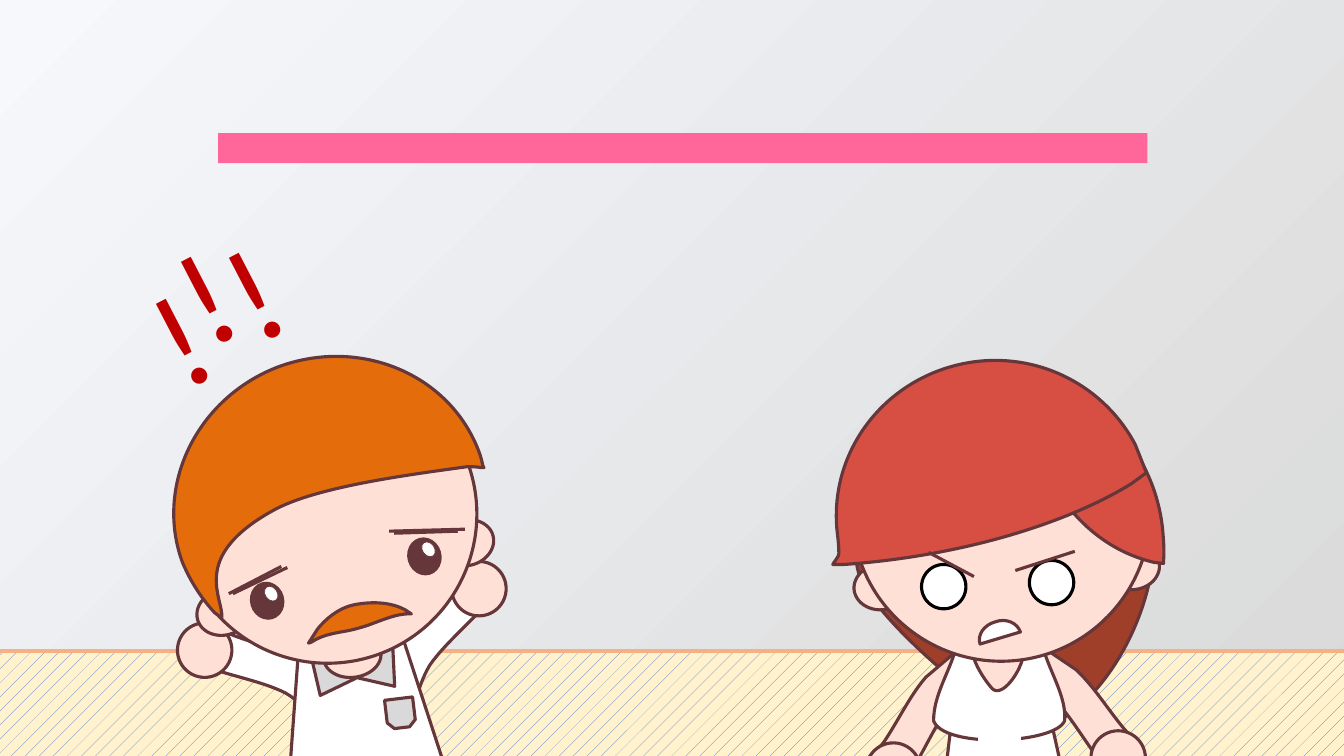
"""Build a slide with two cross cartoon figures under a pink bar."""
from lxml import etree
from pptx import Presentation
from pptx import util as u
from pptx.dml.color import RGBColor
from pptx.enum import dml, shapes, text
from pptx.oxml.ns import qn

PX = 9144
STEPS = 16
HUE = {
    "pale": "F6F8FC", "grey": "D9D9D9", "cream": "FFF2CC", "blue": "4472C4",
    "sand": "F4B183", "ink": "65363A", "skin": "FFE0D6", "white": "FFFFFF",
    "black": "000000", "brown": "A03F29", "red": "D74E43", "orange": "E46C0A",
    "alarm": "C00000", "pink": "FF6699",
}
KIND = shapes.MSO_SHAPE
NECK = ("969 630; 971 616 987 592 1002 595; 1017 598 1025 618 1021 639; "
        "1018 661 998 686 989 676; 980 666 966 644 969 630")
ARM = ("-13 -86; -13 -96 -4 -106 7 -106; 17 -106 26 -97 26 -86; 25 -58 12 -35 11 -7; "
       "12 22 25 57 27 86; 26 96 18 105 6 105; -4 105 -13 96 -13 86; -13 56 -25 22 -25 -8")


def px(*vals):
    """Turn px lengths into EMU."""
    return [u.Emu(round(v * PX)) for v in vals]


def hue(name):
    """Give the named colour."""
    return RGBColor.from_string(HUE[name])


def put(item, vals):
    """Set each format value on an item."""
    for key, val in vals.items():
        setattr(item, key, val)


def paint(shape, fill, line="ink", width=2.25):
    """Give a shape its fill and line, and no shadow."""
    shape.shadow.inherit = False
    shape.fill.solid()
    shape.fill.fore_color.rgb = hue(fill)
    if line:
        shape.line.color.rgb = hue(line)
        shape.line.width = u.Pt(width)
    else:
        shape.line.fill.background()


def block(slide, kind, box, fill, turn=0, line="ink", width=2.25, adj=()):
    """Add a preset shape."""
    shape = slide.shapes.add_shape(kind, *px(*box))
    paint(shape, fill, line, width)
    shape.rotation = turn
    for i, val in enumerate(adj):
        shape.adjustments[i] = val
    return shape


def oval(slide, box, fill="skin", turn=0, **look):
    """Add an ellipse."""
    return block(slide, KIND.OVAL, box, fill, turn, **look)


def bend(p):
    """List the points along a cubic curve."""
    for step in range(STEPS + 1):
        t = step / STEPS
        w = ((1 - t) ** 3, 3 * t * (1 - t) ** 2, 3 * t * t * (1 - t), t ** 3)
        yield [sum(k * q[axis] for k, q in zip(w, p)) for axis in (0, 1)]


def form(slide, fill, plan, dx=0, dy=0, fx=1, fy=1, turn=0):
    """Add a closed outline: pairs are corners, sixes are curves."""
    parts = []
    for chunk in plan.split(";"):
        nums = [int(n) for n in chunk.split()]
        parts.append([(x * fx + dx, y * fy + dy) for x, y in zip(nums[::2], nums[1::2])])
    dots = list(parts[0])
    for last, part in zip(parts, parts[1:]):
        dots += part if len(part) == 1 else bend(last[-1:] + part)
    left, top = (min(axis) for axis in zip(*dots))
    pen = slide.shapes.build_freeform(*px(left, top), scale=1.0)
    pen.add_line_segments([px(*(max(axis) for axis in zip(*dots)))])
    shape = pen.convert_to_shape()
    trace = next(shape._element.iter(qn("a:path")))
    for child in list(trace):
        trace.remove(child)
    for i, part in enumerate(parts):
        tag = "a:moveTo" if i == 0 else "a:lnTo" if len(part) == 1 else "a:cubicBezTo"
        move = etree.SubElement(trace, qn(tag))
        for x, y in part:
            across, down = px(x - left, y - top)
            etree.SubElement(move, qn("a:pt"), x=str(across), y=str(down))
    etree.SubElement(trace, qn("a:close"))
    paint(shape, fill)
    shape.rotation = turn


def stroke(slide, *ends):
    """Add a straight brow line."""
    line = slide.shapes.add_connector(shapes.MSO_CONNECTOR.STRAIGHT, *px(*ends))
    line.line.color.rgb = hue("ink")
    line.line.width = u.Pt(2.25)
    etree.SubElement(line._element.spPr, qn("a:effectLst"))


def shout(slide, x, y):
    """Add a tilted exclamation mark."""
    box = slide.shapes.add_textbox(*px(x, y, 64, 172))
    box.rotation = 332.5
    put(box.text_frame, {"word_wrap": False, "auto_size": text.MSO_AUTO_SIZE.SHAPE_TO_FIT_TEXT})
    run = box.text_frame.paragraphs[0].add_run()
    run.text = "!"
    put(run.font, {"name": "Calibri", "size": u.Pt(96)})
    run.font.color.rgb = hue("alarm")


def room(slide):
    """Paint the wall and the hatched floor."""
    wall = slide.background.fill
    wall.gradient()
    wall.gradient_angle = 315
    for stop, name, at in zip(wall.gradient_stops, ("pale", "grey"), (0, 1)):
        stop.color.rgb = hue(name)
        stop.position = at
    floor = block(slide, KIND.RECTANGLE, (-10, 646, 1353, 131), "cream", line="sand", width=3)
    floor.fill.patterned()
    floor.fill.pattern = dml.MSO_PATTERN.PERCENT_5
    floor.fill.fore_color.rgb = hue("blue")
    floor.fill.back_color.rgb = hue("cream")


def girl(slide):
    """Draw the girl."""
    form(slide, "brown", "851 566; 837 512 889 425 961 414; 991 410; 1063 398 1131 448 1143 521; "
         "1154 593 1095 713 1022 725; 1041 737; 1025 742 864 620 851 566")
    form(slide, "skin", ARM, 1054, 688, fy=-1, turn=132.8)
    oval(slide, (1082, 725, 54, 54), turn=75)
    form(slide, "skin", ARM, 934, 694, -1, -1, turn=221)
    oval(slide, (859, 737, 54, 54), turn=278.8)
    form(slide, "skin", NECK)
    form(slide, "white", "951 654; 1028 650; 1076 866; 1053 869; 1035 872 1018 885 999 886; "
         "979 887 959 876 941 875; 925 874")
    form(slide, "white", "948 644; 1035 644; 1042 668 1058 692 1056 715; "
         "1047 738 936 743 926 715; 926 690 941 668 948 644")
    block(slide, KIND.RECTANGLE, (971, 708, 41, 88), "white", line="white", width=1)
    form(slide, "skin", NECK, -5, 7)
    for box in ((1096, 540, 54, 45), (847, 560, 54, 45), (845, 360, 296, 296)):
        oval(slide, box, turn=355.4)
    form(slide, "red", "1024 381; 1033 382; 1095 396 1145 452 1153 524; 1154 535 1155 546 1154 557; "
         "1154 559; 1145 558; 1083 544 1033 488 1024 416; 1023 405 1023 394 1024 383")
    form(slide, "red", "975 358; 1040 353 1098 388 1126 441; 1137 469; 1122 480; "
         "1057 520 952 552 837 560; 826 560; 826 559 833 551 832 549; "
         "832 540 831 534 830 524; 823 439 888 365 975 358")
    form(slide, "white", "1012 627; 972 639; 969 630 976 620 987 617; 998 613 1009 618 1012 627")
    for x, y in ((914, 560), (1021, 556)):
        oval(slide, (x, y, 44, 44), "white", line="black")
    for ends in ((1066, 547, 1007, 566), (966, 572, 921, 548)):
        stroke(slide, *ends)


def boy(slide):
    """Draw the boy."""
    form(slide, "white", ARM, 422, 650, fx=-1, turn=212.3)
    oval(slide, (448, 557, 54, 54), turn=154.5)
    form(slide, "white", ARM, 281, 676, turn=118.5)
    oval(slide, (176, 618, 54, 54), turn=176.3)
    form(slide, "white", "400 634; 296 647; 286 784; 287 797 324 803 367 798; 410 793 444 778 443 766")
    for box, turn, tip in (((356, 647, 54, 35), 134, 0.61), ((294, 656, 54, 33), 212.3, 0.38)):
        block(slide, KIND.ISOSCELES_TRIANGLE, box, "grey", turn, adj=[tip])
    oval(slide, (321, 630, 57, 42), turn=353.2)
    block(slide, KIND.SNIP_2_SAME_RECTANGLE, (383, 693, 28, 29), "grey", 353.2, adj=[0, 0.23])
    for box in ((195, 585, 54, 45), (436, 516, 54, 45), (177, 362, 296, 296)):
        oval(slide, box, turn=344)
    for x, y in ((404, 533), (248, 577)):
        oval(slide, (x, y, 34, 38), "ink", 344, line=None)
        oval(slide, (x + 15, y + 4, 12, 16), "white", 324.5, width=0.5)
    for ends in ((285, 563, 231, 589), (461, 525, 386, 527),
                 (279, 562, 227, 589), (454, 527, 391, 529)):
        stroke(slide, *ends)
    form(slide, "orange", "356 623; 340 628 324 627 309 637; 306 638; 315 624; "
         "323 614 336 603 351 600; 371 596 389 598 402 605; 408 609; 391 608 372 619 356 623")
    form(slide, "orange", "276 364; 357 334 446 371 475 448; 477 453 478 458 479 462; 480 464; "
         "478 464; 472 463 465 463 464 463; 406 471 312 483 270 507; 193 550 218 588 220 609; "
         "220 613; 213 608; 200 594 189 577 181 558; 153 482 195 395 276 364")


def main():
    """Build and save the slide."""
    deck = Presentation()
    wide, high = px(1333, 750)
    put(deck, {"slide_width": wide, "slide_height": high})
    slide = deck.slides.add_slide(deck.slide_layouts[6])
    for draw in (room, girl, boy):
        draw(slide)
    for spot in ((146, 247), (170, 205), (218, 201)):
        shout(slide, *spot)
    for left, fill in ((215, "white"), (216, "pink")):
        block(slide, KIND.RECTANGLE, (left, 132, 922, 30), fill, line=None)
    deck.save("out.pptx")


if __name__ == "__main__":
    main()
